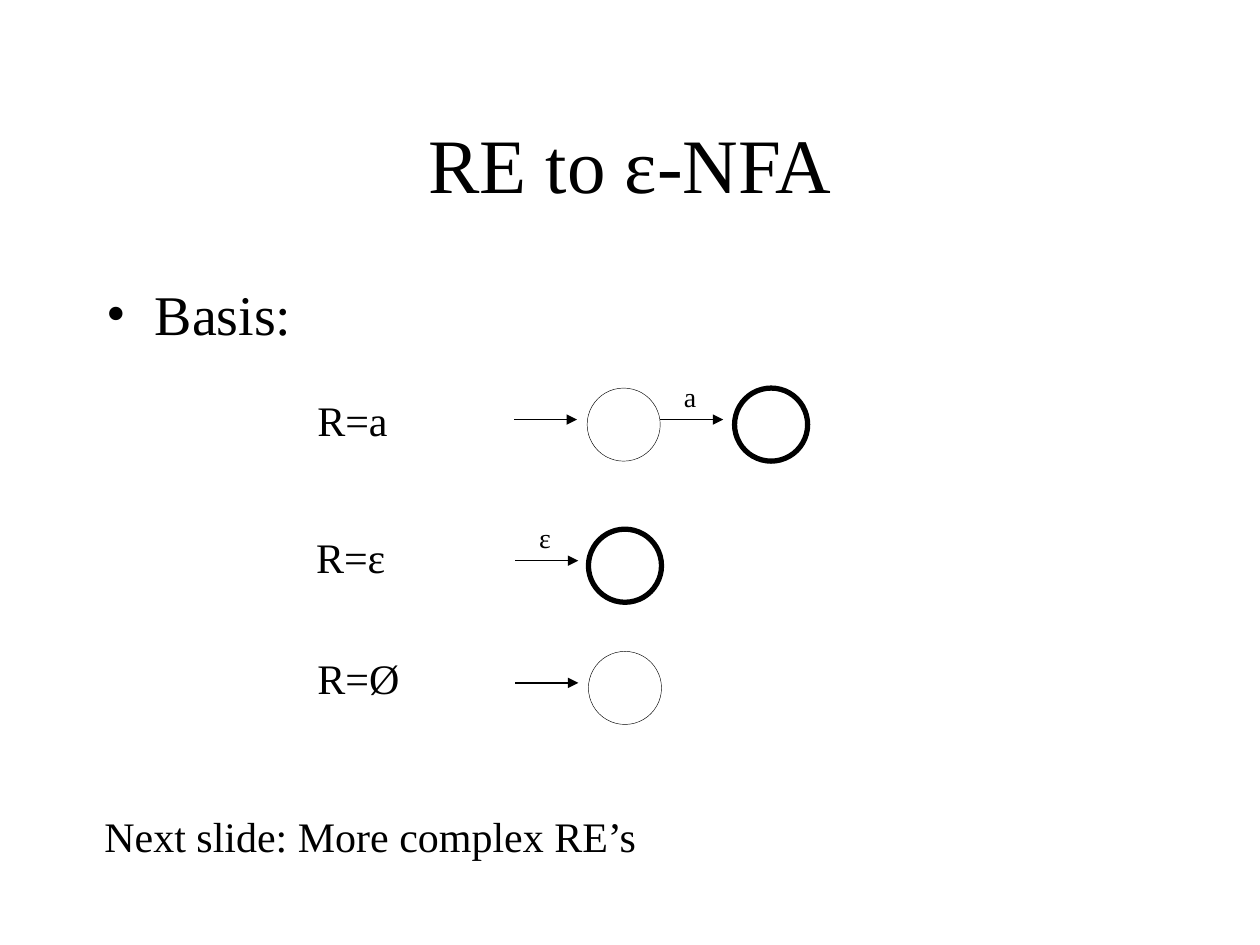
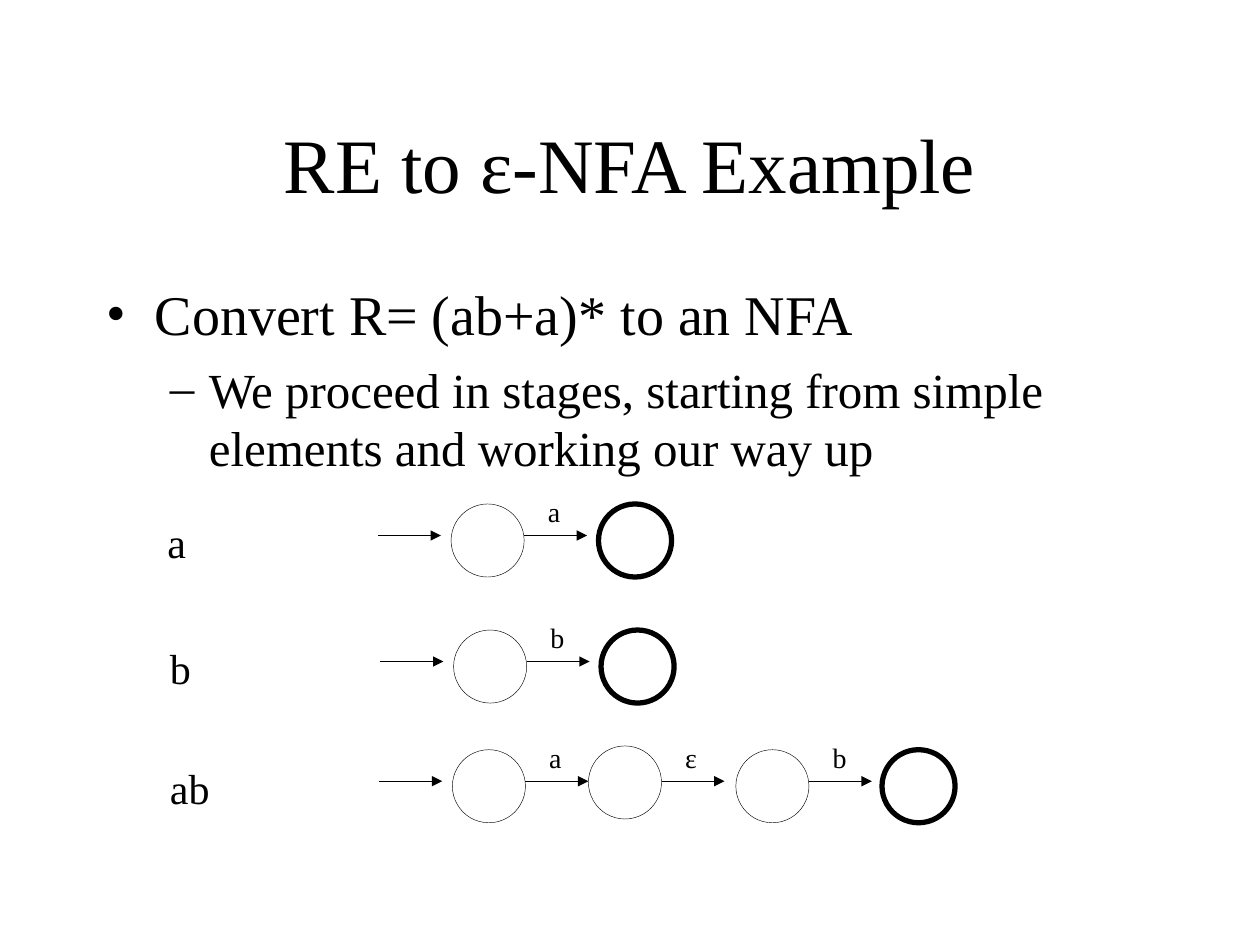
from pptx import Presentation
from pptx.dml.color import RGBColor
from pptx.enum.shapes import MSO_CONNECTOR as CONNECTOR, MSO_SHAPE as SHAPE
from pptx.enum.text import MSO_ANCHOR as ANCHOR, MSO_AUTO_SIZE as AUTO_SIZE, PP_ALIGN as ALIGN
from pptx.oxml.ns import qn
from pptx.util import Inches, Pt
from lxml.etree import SubElement

BLACK = RGBColor(0, 0, 0)
WHITE = RGBColor(255, 255, 255)
FONT = "Times New Roman"
TITLE_SIZE, CAPTION_SIZE, LABEL_SIZE = 44, 24, 16
BULLETS = [
    {"symbol": "•", "size": 32, "before": 8, "margin": 0.38, "indent": -0.38},
    {"symbol": "–", "size": 28, "before": 7, "margin": 0.81, "indent": -0.31},
]
DIAMETER = 0.58
ARROW_LENGTH = 0.5
ARROW_DROP = 0.25
THIN, THICK = 0.25, 3

SLIDES = [
    {
        "title": "RE to ε-NFA",
        "bullets": [("Basis:", 0)],
        "captions": [
            ("R=a", 2.42, 3.08, 0.76),
            ("R=ε", 2.41, 4.17, 0.75),
            ("R=Ø", 2.42, 5.13, 0.85),
            ("Next slide: More complex RE’s", 0.73, 6.38, 4.44),
        ],
        "automata": [
            (3.08, [(4.66, 0, "", THIN), (5.83, 0, "a", THICK)]),
            (4.2, [(4.67, 0, "ε", THICK)]),
            (5.17, [(4.67, 0, "", THIN)]),
        ],
    },
    {
        "title": "RE to ε-NFA Example",
        "bullets": [
            ("Convert R= (ab+a)* to an NFA", 0),
            ("We proceed in stages, starting from simple elements and working our way up", 1),
        ],
        "captions": [
            ("a", 1.23, 4.05, 0.35),
            ("b", 1.25, 5.05, 0.37),
            ("ab", 1.25, 6, 0.52),
        ],
        "automata": [
            (4, [(3.58, 0, "", THIN), (4.75, 0, "a", THICK)]),
            (5, [(3.6, 0, "", THIN), (4.77, 0, "b", THICK)]),
            (5.95, [(3.59, 0, "", THIN), (4.67, -0.03, "a", THIN),
                    (5.84, 0, "ε", THIN), (7, 0, "b", THICK)]),
        ],
    },
]


def write(paragraph, text, size):
    run = paragraph.add_run()
    run.text = text
    run.font.color.rgb = BLACK
    for name, value in {"name": FONT, "size": Pt(size), "bold": False}.items():
        setattr(run.font, name, value)


def add_text(slide, text, left, top, width, height, size):
    box = slide.shapes.add_textbox(Inches(left), Inches(top), Inches(width), Inches(height))
    box.text_frame.word_wrap = False
    box.text_frame.auto_size = AUTO_SIZE.SHAPE_TO_FIT_TEXT
    write(box.text_frame.paragraphs[0], text, size)


presentation = Presentation()
presentation.slide_width = Inches(10)
presentation.slide_height = Inches(7.5)

for content in SLIDES:
    slide = presentation.slides.add_slide(presentation.slide_layouts[5])
    slide.background.fill.solid()
    slide.background.fill.fore_color.rgb = WHITE

    title = slide.shapes.title
    position = {"left": 0.75, "top": 0.67, "width": 8.5, "height": 1.25}
    for name, value in position.items():
        setattr(title, name, Inches(value))
    frame = title.text_frame
    frame.auto_size = AUTO_SIZE.NONE
    frame.vertical_anchor = ANCHOR.MIDDLE
    frame.paragraphs[0].alignment = ALIGN.CENTER
    write(frame.paragraphs[0], content["title"], TITLE_SIZE)

    body = slide.shapes.add_textbox(Inches(0.75), Inches(2.17), Inches(8.5), Inches(4.5))
    body.text_frame.word_wrap = True
    for index, (text, level) in enumerate(content["bullets"]):
        bullet = BULLETS[level]
        paragraph = body.text_frame.add_paragraph() if index else body.text_frame.paragraphs[0]
        paragraph.level = level
        paragraph.space_before = Pt(bullet["before"])
        properties = paragraph._p.get_or_add_pPr()
        properties.set("marL", str(Inches(bullet["margin"])))
        properties.set("indent", str(Inches(bullet["indent"])))
        SubElement(properties, qn("a:buFont"), typeface=FONT)
        SubElement(properties, qn("a:buChar"), char=bullet["symbol"])
        write(paragraph, text, bullet["size"])

    for text, left, top, width in content["captions"]:
        add_text(slide, text, left, top, width, 0.5, CAPTION_SIZE)

    for top, states in content["automata"]:
        arrow_left = states[0][0] - DIAMETER
        arrow_y = Inches(top + ARROW_DROP)
        for left, shift, label, outline in states:
            state = slide.shapes.add_shape(
                SHAPE.OVAL, Inches(left), Inches(top + shift), Inches(DIAMETER), Inches(DIAMETER))
            state.shadow.inherit = False
            state.fill.background()
            state.line.color.rgb = BLACK
            state.line.width = Pt(outline)

            arrow = slide.shapes.add_connector(
                CONNECTOR.STRAIGHT, Inches(arrow_left), arrow_y,
                Inches(arrow_left + ARROW_LENGTH), arrow_y)
            arrow.line.color.rgb = BLACK
            arrow.line.width = Pt(0.75)
            SubElement(arrow.line._get_or_add_ln(), qn("a:tailEnd"), type="triangle")
            SubElement(arrow._element.spPr, qn("a:effectLst"))

            if label:
                add_text(slide, label, arrow_left + 0.09, top - 0.12, 0.3, 0.37, LABEL_SIZE)
            arrow_left = left + DIAMETER

presentation.save("out.pptx")
